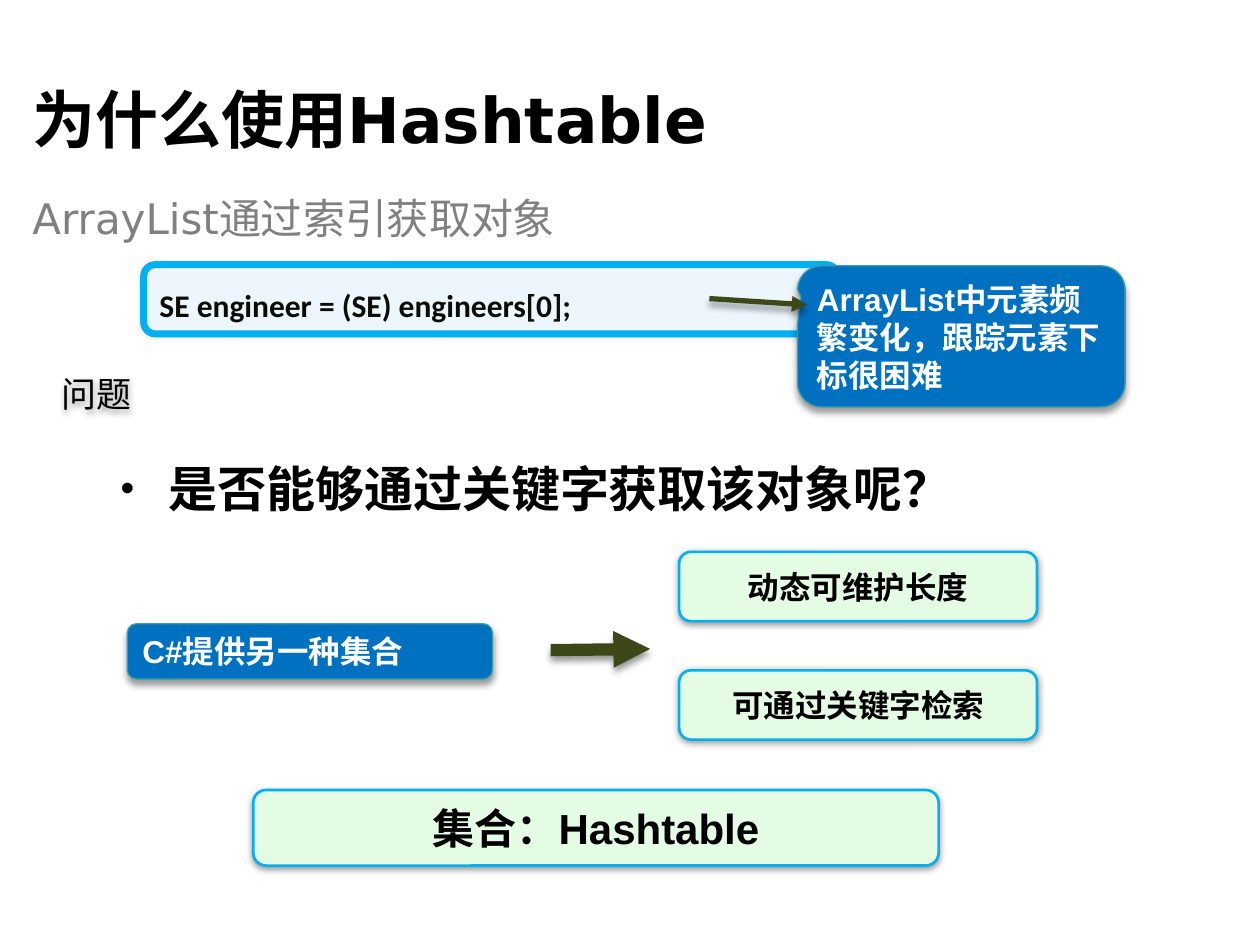
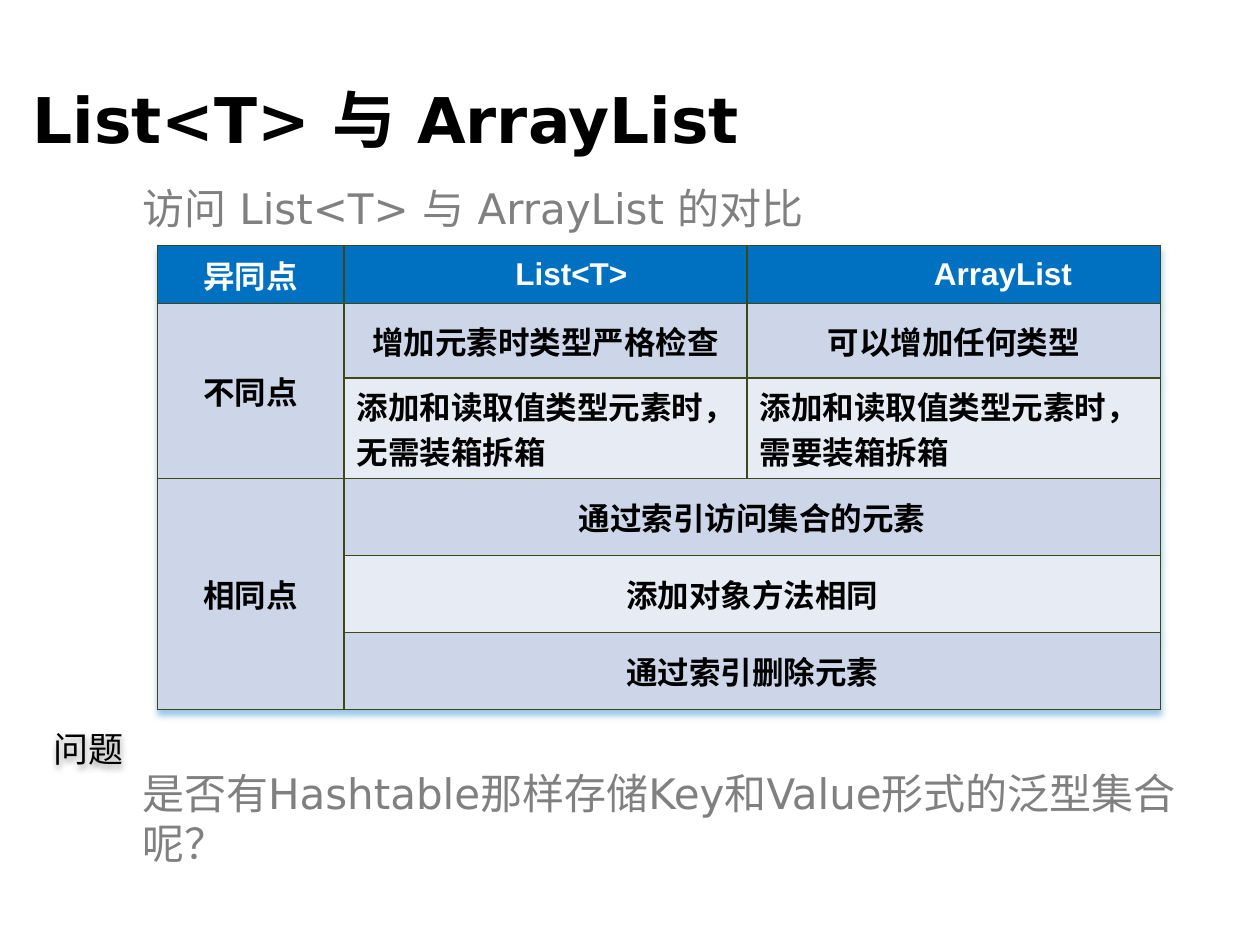
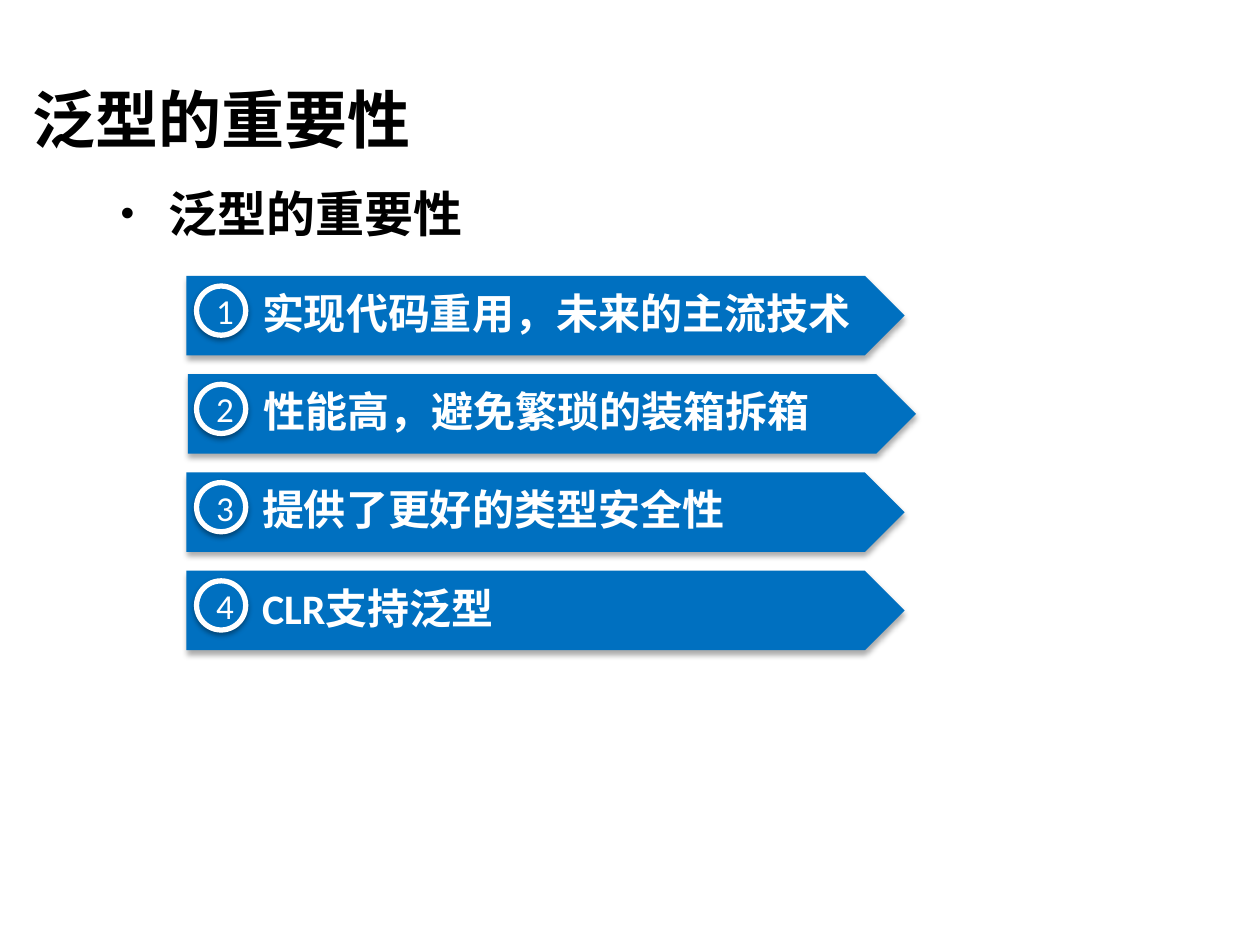
from pptx import Presentation
from pptx import util as u
from pptx.dml.color import RGBColor
from pptx.enum import shapes, text
from pptx.oxml import parse_xml

NS = 'xmlns:a="http://schemas.openxmlformats.org/drawingml/2006/main"'
BLUE, CYAN, GREEN, OLIVE = "0070C0", "00B0F0", "E4FCE4", "3C4818"
BLACK, WHITE, GREY, TEAL = "000000", "FFFFFF", "808080", "429DA5"
CJK = "Noto Sans CJK SC"
TOP, MIDDLE, BOTTOM = (text.MSO_ANCHOR.TOP, text.MSO_ANCHOR.MIDDLE,
                       text.MSO_ANCHOR.BOTTOM)
LEFT, CENTER = text.PP_ALIGN.LEFT, text.PP_ALIGN.CENTER
S = shapes.MSO_SHAPE

# Text styles: size, colour, bold, Latin font, East Asian font
TITLE = (36, BLACK, True, "DejaVu Sans", "DejaVu Sans")
BODY = (24, GREY, False, "DejaVu Sans", "DejaVu Sans")
BULLET = (28, BLACK, True, "Calibri", "Calibri")
LABEL = (20, BLACK, False, CJK, CJK)
BOX = (18, BLACK, True, "Arial", "Calibri")
BOX_WHITE = (18, WHITE, True, "Arial", "Calibri")
BOX_BIG = (24, BLACK, True, "Arial", "Calibri")
CODE = (18, "0C0E05", True, "Calibri", "Calibri")
PLATE = (24, WHITE, True, "Calibri", "Calibri")
NUMBER = (20, WHITE, False, "Calibri", "Calibri")
CELL = (18, BLACK, True, "Arial", CJK)
CELL_HEAD = (18, WHITE, True, "Arial", CJK)


def write(tf, words, style, align=LEFT, anchor=TOP, bullet=False, spacing=None):
    size, color, bold, latin, asian = style
    tf.word_wrap = True
    tf.vertical_anchor = anchor
    p = tf.paragraphs[0]
    p.alignment = align
    if spacing:
        p.line_spacing = spacing
    if bullet:
        pPr = p._p.get_or_add_pPr()
        pPr.set("marL", str(u.Inches(0.38)))
        pPr.set("indent", str(u.Inches(-0.38)))
        for xml in (f'<a:buClr {NS}><a:srgbClr val="{BLACK}"/></a:buClr>',
                    f'<a:buSzPct {NS} val="80000"/>',
                    f'<a:buFont {NS} typeface="Arial"/>',
                    f'<a:buChar {NS} char="•"/>'):
            pPr.append(parse_xml(xml))
    r = p.add_run()
    r.text = words
    for name, value in {"size": u.Pt(size), "bold": bold, "name": latin}.items():
        setattr(r.font, name, value)
    r.font.color.rgb = RGBColor.from_string(color)
    r.font._element.find("{*}latin").addnext(
        parse_xml(f'<a:ea {NS} typeface="{asian}"/>'))


def add_shadow(props, alpha=40, blur=4, dist=3, angle=90, color=BLACK):
    props.append(parse_xml(
        f'<a:effectLst {NS}><a:outerShdw blurRad="{u.Pt(blur)}" dist="{u.Pt(dist)}" '
        f'dir="{angle * 60000}" algn="ctr" rotWithShape="0"><a:srgbClr val="{color}">'
        f'<a:alpha val="{alpha * 1000}"/></a:srgbClr></a:outerShdw></a:effectLst>'))


prs = Presentation()
prs.slide_width, prs.slide_height = u.Inches(10), u.Inches(7.5)

# Titles, body lines and bullets of all slides
pages = [
    [("为什么使用Hashtable", TITLE, 0.16, 0.55, 9.67, 0.78),
     ("ArrayList通过索引获取对象", BODY, 0.16, 1.48, 9.67, 0.5),
     ("是否能够通过关键字获取该对象呢？", BULLET, 0.86, 3.59, 7.48, 0.55),
     ("问题", LABEL, 0.39, 2.9, 0.77, 0.44)],
    [("List<T> 与 ArrayList", TITLE, 0.16, 0.55, 9.67, 0.78),
     ("访问 List<T> 与 ArrayList 的对比", BODY, 1.03, 1.4, 8.66, 0.5),
     ("是否有Hashtable那样存储Key和Value形式的泛型集合呢？",
      BODY, 1.03, 6.04, 8.66, 0.95),
     ("问题", LABEL, 0.33, 5.72, 0.77, 0.44)],
    [("泛型的重要性", TITLE, 0.16, 0.55, 9.67, 0.78),
     ("泛型的重要性", BULLET, 0.86, 1.41, 8.36, 0.6)],
]
for page in pages:
    s = prs.slides.add_slide(prs.slide_layouts[6])
    for words, style, *at in page:
        sp = s.shapes.add_textbox(*map(u.Inches, at))
        write(sp.text_frame, words, style, bullet=style is BULLET,
              anchor=MIDDLE if style in (TITLE, LABEL) else TOP)
        if style is LABEL:
            sp.text_frame.word_wrap = False
            add_shadow(sp._element.spPr, dist=2)
hashtable, comparison, importance = prs.slides

# Slide 1: boxes
green, blue = (GREEN, CYAN, 1.5, (40, 4, 1, 90)), (BLUE, TEAL, 0.75, (40, 4, 3, 90))
pale = ("EDF5FD", CYAN, 4, (10, 3, 0, 0))
boxes = [
    ("动态可维护长度", BOX, green, CENTER, MIDDLE, 5.39, 4.38, 2.84, 0.55),
    ("可通过关键字检索", BOX, green, CENTER, MIDDLE, 5.39, 5.32, 2.84, 0.55),
    ("C#提供另一种集合", BOX_WHITE, blue, LEFT, BOTTOM, 1.01, 4.95, 2.9, 0.44),
    ("集合：Hashtable", BOX_BIG, green, CENTER, MIDDLE, 2.01, 6.27, 5.44, 0.6),
    ("SE engineer = (SE) engineers[0];", CODE, pale, LEFT, TOP, 1.14, 2.1, 5.51, 0.55),
    ("ArrayList中元素频繁变化，跟踪元素下标很困难",
     BOX_WHITE, blue, LEFT, BOTTOM, 6.33, 2.11, 2.6, 1.12),
]
for words, style, (fill, line, width, shade), align, anchor, *at in boxes:
    callout = words.startswith("ArrayList")
    sp = hashtable.shapes.add_shape(
        S.ROUNDED_RECTANGULAR_CALLOUT if callout else S.ROUNDED_RECTANGLE,
        *map(u.Inches, at))
    for i, value in enumerate((-0.49, -0.28, 0.17) if callout else (0.17,)):
        sp.adjustments[i] = value
    sp.fill.solid()
    sp.fill.fore_color.rgb = RGBColor.from_string(fill)
    sp.line.color.rgb = RGBColor.from_string(line)
    sp.line.width = u.Pt(width)
    add_shadow(sp._element.spPr, *shade)
    write(sp.text_frame, words, style, align, anchor,
          spacing=1.3 if style is CODE else None)

# Slide 1: arrows
for width, *ends in [(3, 5.63, 2.37, 6.41, 2.42), (7, 4.37, 5.16, 5.16, 5.15)]:
    c = hashtable.shapes.add_connector(shapes.MSO_CONNECTOR.STRAIGHT,
                                       *map(u.Inches, ends))
    c.line.color.rgb = RGBColor.from_string(OLIVE)
    c.line.width = u.Pt(width)
    c.line._get_or_add_ln().append(parse_xml(f'<a:tailEnd {NS} type="triangle"/>'))
    add_shadow(c._element.spPr)

# Slide 2: comparison table
DARK, LIGHT = "CCD6E8", "E7ECF4"
rows = [
    ("异同点", "List<T>", "ArrayList"),
    ("不同点", "增加元素时类型严格检查", "可以增加任何类型"),
    (None, "添加和读取值类型元素时，无需装箱拆箱", "添加和读取值类型元素时，需要装箱拆箱"),
    ("相同点", "通过索引访问集合的元素", None),
    (None, "添加对象方法相同", None),
    (None, "通过索引删除元素", None),
]
row_fills = [BLUE, DARK, LIGHT, DARK, LIGHT, DARK]
head_indents = {"List<T>": 0.51, "ArrayList": 0.88}
tbl = comparison.shapes.add_table(
    6, 3, *map(u.Inches, (1.25, 1.95, 7.97, 3.67))).table
tblPr = tbl._tbl.tblPr
tblPr.clear()
add_shadow(tblPr, color=BLUE)
for col, width in zip(tbl.columns, (1.48, 3.2, 3.28)):
    col.width = u.Inches(width)
for row, height in zip(tbl.rows, (0.46, 0.59, 0.8, 0.61, 0.61, 0.61)):
    row.height = u.Inches(height)
for first, last in [((1, 0), (2, 0)), ((3, 0), (5, 0))] + [
        ((i, 1), (i, 2)) for i in (3, 4, 5)]:
    tbl.cell(*first).merge(tbl.cell(*last))
for i, row in enumerate(rows):
    for j, words in enumerate(row):
        cell = tbl.cell(i, j)
        cell.fill.solid()
        cell.fill.fore_color.rgb = RGBColor.from_string(
            DARK if i and j == 0 else row_fills[i])
        cell.margin_top = cell.margin_bottom = u.Inches(0.02)
        cell.vertical_anchor = MIDDLE
        if words:
            cell.margin_left = u.Inches(head_indents.get(words, 0.1))
            write(cell.text_frame, words, CELL if i else CELL_HEAD,
                  LEFT if i == 2 else CENTER, MIDDLE)
            cell.text_frame._txBody.bodyPr.attrib.clear()
        for k, side in enumerate(("lnL", "lnR", "lnT", "lnB")):
            cell._tc.get_or_add_tcPr().insert(k, parse_xml(
                f'<a:{side} {NS} w="{u.Pt(1)}"><a:solidFill>'
                f'<a:srgbClr val="{OLIVE}"/></a:solidFill></a:{side}>'))

# Slide 3: numbered arrow bars
points = ["实现代码重用，未来的主流技术", "性能高，避免繁琐的装箱拆箱",
          "提供了更好的类型安全性", "CLR支持泛型"]
for i, words in enumerate(points):
    top = 2.19 + 0.78 * i
    left, width = (1.49, 5.78) if i == 1 else (1.48, 5.7)
    bar = importance.shapes.add_shape(
        S.PENTAGON, *map(u.Inches, (left, top, width, 0.63)))
    disc = importance.shapes.add_shape(
        S.OVAL, *map(u.Inches, (1.56, top + 0.08, 0.39, 0.39)))
    for sp in (bar, disc):
        sp.fill.solid()
        sp.fill.fore_color.rgb = RGBColor.from_string(BLUE)
    bar.line.fill.background()
    disc.line.color.rgb = RGBColor.from_string(WHITE)
    disc.line.width = u.Pt(3)
    add_shadow(bar._element.spPr, 32, 3.5, 2.2)
    add_shadow(disc._element.spPr, 38, 3.1, 1.6)
    tf = bar.text_frame
    for side, inset in {"left": 0.6, "top": 0.07, "right": 0.04, "bottom": 0.07}.items():
        setattr(tf, f"margin_{side}", u.Inches(inset))
    write(tf, words, PLATE, anchor=MIDDLE, spacing=0.9)
    write(disc.text_frame, str(i + 1), NUMBER, anchor=MIDDLE)

prs.save("out.pptx")
